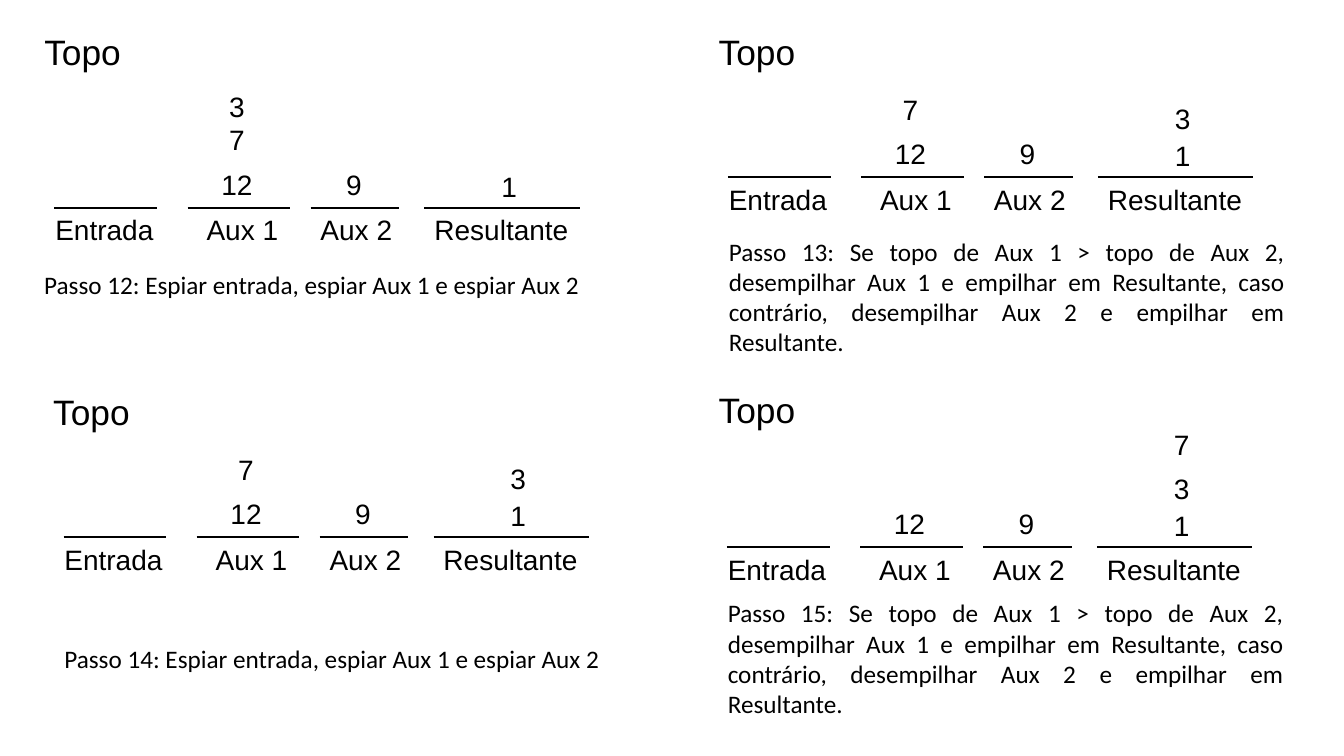
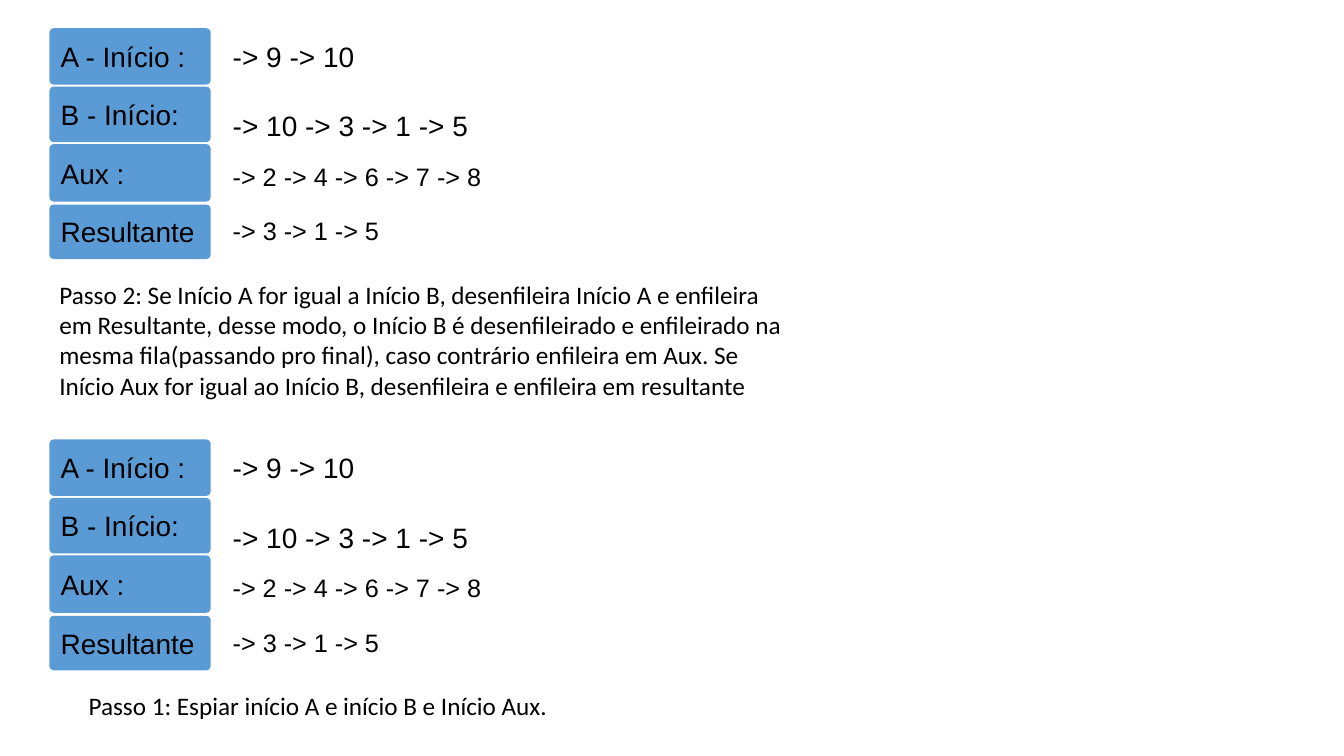
from pptx import Presentation
from pptx import util as u
from pptx.dml.color import RGBColor
from pptx.enum import shapes, text
from pptx.oxml.ns import qn
from lxml import etree

HUES = {"ink": "000000", "box": "5B9BD5", "page": "FFFFFF"}
ALIGN = text.PP_ALIGN

SPY = "Passo {}: Espiar entrada, espiar Aux 1 e espiar Aux 2"
MOVE = (
    "Passo {}: Se topo de Aux 1 > topo de Aux 2, desempilhar Aux 1 e empilhar "
    "em Resultante, caso contrário, desempilhar Aux 2 e empilhar em Resultante."
)

STACKS = [
    {"name": "Entrada", "left": 0, "wide": 1.37, "bar": 0.09, "span": 1.02, "mid": 0.6, "rise": []},
    {"name": "Aux 1", "left": 1.5, "wide": 1.01, "bar": 1.41, "span": 1.02, "mid": 1.9, "rise": [0.45, 0.89, 1.22]},
    {"name": "Aux 2", "left": 2.63, "wide": 1.01, "bar": 2.63, "span": 0.88, "mid": 3.06, "rise": [0.45]},
    {"name": "Resultante", "left": 3.76, "wide": 1.6, "bar": 3.76, "span": 1.54, "mid": 4.6, "rise": [0.43, 0.8, 1.24]},
]

PANELS = [
    {"head": (0.34, 0.3), "base": (0.45, 2.06), "items": [[], [12, 7, 3], [9], [1]],
     "step": SPY.format(12), "note": (0.34, 2.62, 5.64, 0.4), "align": ALIGN.LEFT},
    {"head": (7.03, 0.3), "base": (7.13, 1.76), "items": [[], [12, 7], [9], [1, 3]],
     "step": MOVE.format(13), "note": (7.13, 2.29, 5.71, 1.31), "align": ALIGN.JUSTIFY},
    {"head": (0.43, 3.87), "base": (0.54, 5.33), "items": [[], [12, 7], [9], [1, 3]],
     "step": SPY.format(14), "note": (0.54, 6.33, 5.64, 0.4), "align": ALIGN.LEFT},
    {"head": (7.03, 3.85), "base": (7.12, 5.43), "items": [[], [12], [9], [1, 3, 7]],
     "step": MOVE.format(15), "note": (7.12, 5.88, 5.71, 1.31), "align": ALIGN.JUSTIFY},
]

QUEUES = [
    {"name": "A - Início :", "top": 0.28, "high": 0.56, "flow": "-> 9 -> 10", "at": 0.34, "wide": 4.26, "size": 20},
    {"name": "B - Início:", "top": 0.86, "high": 0.55, "flow": "-> 10 -> 3 -> 1 -> 5", "at": 1.03, "wide": 2.61, "size": 20},
    {"name": "Aux :", "top": 1.43, "high": 0.57, "flow": "-> 2 -> 4 -> 6 -> 7 -> 8", "at": 1.55, "wide": 2.8, "size": 18},
    {"name": "Resultante", "top": 2.03, "high": 0.54, "flow": "-> 3 -> 1 -> 5", "at": 2.09, "wide": 1.72, "size": 18},
]

STEPS = [
    (0, "Passo 2: Se Início A for igual a Início B, desenfileira Início A e enfileira em "
        "Resultante, desse modo, o Início B é desenfileirado e enfileirado na mesma "
        "fila(passando pro final), caso contrário enfileira em Aux. Se Início Aux for igual "
        "ao Início B, desenfileira e enfileira em resultante", (0.49, 2.72, 7.51, 1.31)),
    (4.08, "Passo 1: Espiar início A e início B e Início Aux.", (0.78, 6.8, 4.88, 0.4)),
]


def tint(name):
    return RGBColor.from_string(HUES[name])


def write(slide, words, at, size=20, font="Arial", align=ALIGN.LEFT,
          anchor=text.MSO_ANCHOR.TOP, space=None, shape=None):
    spot = [u.Inches(n) for n in at]
    if shape is None:
        shape = slide.shapes.add_textbox(*spot)
    else:
        shape.left, shape.top, shape.width, shape.height = spot
    frame = shape.text_frame
    frame.word_wrap = True
    frame.auto_size = text.MSO_AUTO_SIZE.NONE
    frame.vertical_anchor = anchor
    frame.text = words
    para = frame.paragraphs[0]
    para.alignment = align
    if space:
        para.line_spacing = space
    face = para.runs[0].font
    face.name, face.size = font, u.Pt(size)
    face.color.rgb = tint("ink")


def rule(slide, left, top, span):
    line = slide.shapes.add_connector(
        shapes.MSO_CONNECTOR.STRAIGHT, u.Inches(left), u.Inches(top),
        u.Inches(left + span), u.Inches(top))
    line.line.color.rgb = tint("ink")
    line.line.width = u.Pt(1.5)
    etree.SubElement(line._element.spPr, qn("a:effectLst"))


def panel(slide, data, title=None):
    write(slide, "Topo", (*data["head"], 0.96, 0.54), size=25.2, space=0.9, shape=title)
    left, base = data["base"]
    for stack, items in zip(STACKS, data["items"]):
        write(slide, stack["name"], (left + stack["left"], base, stack["wide"], 0.44))
        rule(slide, left + stack["bar"], base, stack["span"])
        for item, rise in zip(items, stack["rise"]):
            wide = 0.58 if item > 9 else 0.4
            write(slide, str(item), (left + stack["mid"] - wide / 2, base - rise, wide, 0.44),
                  align=ALIGN.CENTER)
    write(slide, data["step"], data["note"], size=18, font="Calibri", align=data["align"])


def queue(slide, data, drop):
    at = (0.49, data["top"] + drop, 1.6, data["high"])
    box = slide.shapes.add_shape(shapes.MSO_SHAPE.ROUNDED_RECTANGLE, *map(u.Inches, at))
    box.adjustments[0] = 0.08
    box.shadow.inherit = False
    box.fill.solid()
    box.fill.fore_color.rgb = tint("box")
    box.line.fill.background()
    write(slide, data["name"], at, anchor=text.MSO_ANCHOR.MIDDLE, shape=box)
    write(slide, data["flow"], (2.21, data["at"] + drop, data["wide"], 0.44), size=data["size"])


def page(deck, layout):
    slide = deck.slides.add_slide(deck.slide_layouts.get_by_name(layout))
    slide.background.fill.solid()
    slide.background.fill.fore_color.rgb = tint("page")
    return slide


def main():
    deck = Presentation()
    deck.slide_width, deck.slide_height = u.Inches(13.33), u.Inches(7.5)

    slide = page(deck, "Title Only")
    for num, data in enumerate(PANELS):
        panel(slide, data, None if num else slide.shapes.title)

    slide = page(deck, "Blank")
    for drop, words, at in STEPS:
        for data in QUEUES:
            queue(slide, data, drop)
        write(slide, words, at, size=18, font="Calibri")

    deck.save("out.pptx")


if __name__ == "__main__":
    main()
